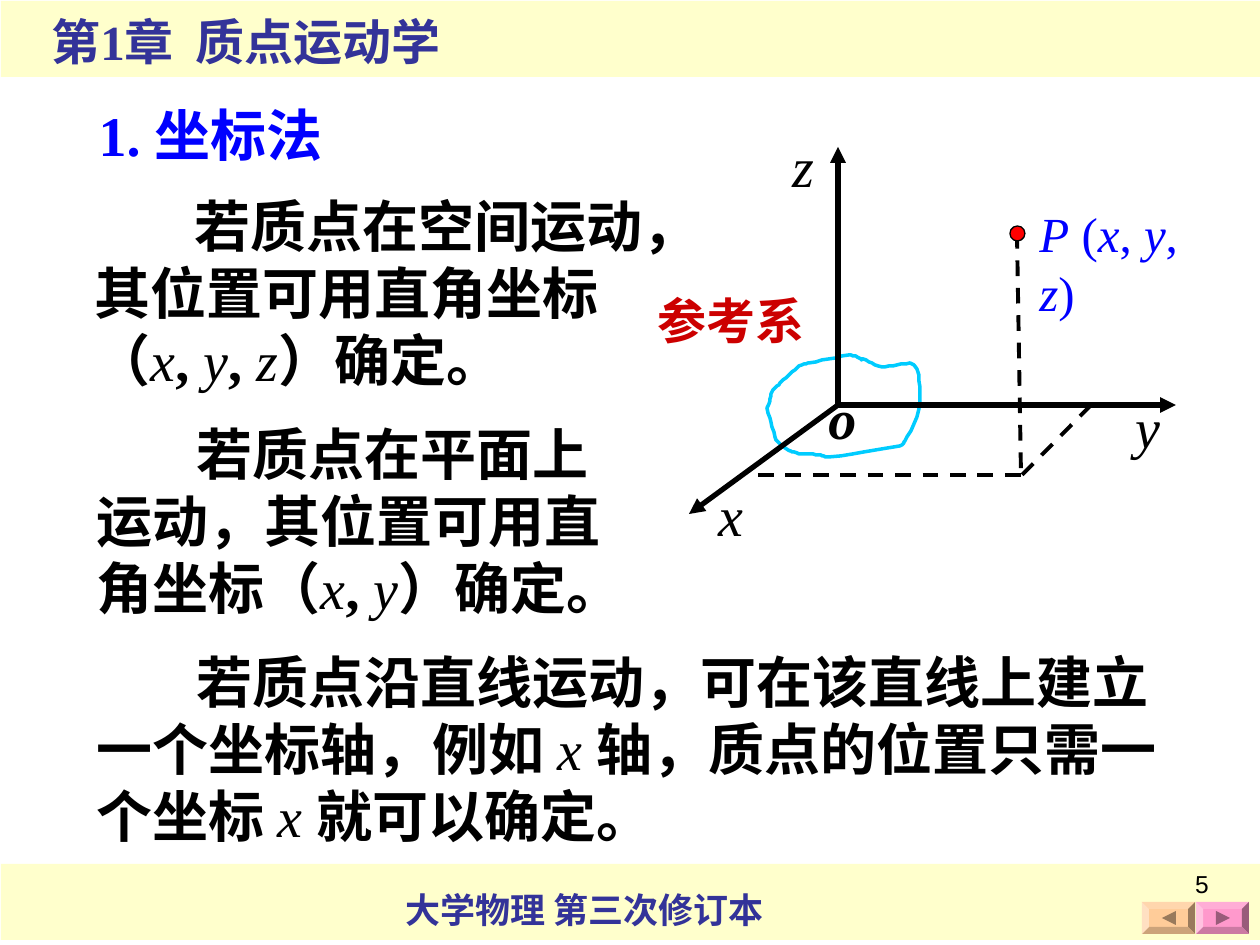
from pptx import Presentation
from pptx.dml.color import RGBColor
from pptx.enum.dml import MSO_LINE
from pptx.enum.shapes import MSO_CONNECTOR, MSO_SHAPE
from pptx.enum.text import MSO_ANCHOR, PP_ALIGN
from pptx.oxml.ns import qn
from pptx.util import Pt
from lxml.etree import SubElement

SCALE = 914400 / 126
SERIF = "Times New Roman"
BLACK, BLUE, NAVY, CREAM = "000000", "0000FF", "333399", "FFFFCC"

# Text between asterisks is italic.
HEADING = ("1. 坐标法 ", (86, 94, 276, 81))
BANDS = [(1, 864, 1259, 76), (1, 1, 1259, 76)]
BAND_TEXTS = [
    ("大学物理 第三次修订本", (393, 882, 393, 55), 20),
    ("第1章  质点运动学", (39, 5, 465, 72), 28),
]
PARAGRAPHS = [
    ("若质点在空间运动，其位置可用直角坐标（*x*, *y*, *z*）确定。", (82, 185, 578, 214)),
    ("若质点在平面上运动，其位置可用直角坐标（*x*, *y*）确定。", (84, 413, 566, 214)),
    ("若质点沿直线运动，可在该直线上建立一个坐标轴，例如 *x *轴，"
     "质点的位置只需一个坐标 *x *就可以确定。", (84, 641, 1121, 214)),
]
AXES = [((838, 405), (689, 514)), ((838, 405), (1176, 405)), ((838, 405), (838, 147))]
DASHES = [((1017, 233), (1021, 475)), ((1091, 405), (1022, 475)), ((758, 475), (1027, 475))]
AXIS_LABELS = [
    ("*x*", (706, 474, 50, 81), False),
    ("*z*", (780, 125, 47, 81), False),
    ("*y*", (1123, 386, 50, 81), False),
    ("*o*", (816, 377, 53, 81), True),
]
# Start point, then cubic Bezier segments.
BODY_START = (767, 408)
BODY_CURVES = [
    ((770, 404), (770, 399), (771, 394)), ((771, 389), (778, 386), (780, 383)),
    ((786, 378), (791, 372), (798, 367)), ((800, 365), (808, 363), (809, 363)),
    ((823, 360), (835, 358), (849, 355)), ((853, 355), (859, 358), (859, 358)),
    ((864, 362), (859, 358), (866, 360)), ((871, 363), (878, 368), (885, 367)),
    ((893, 366), (901, 364), (910, 363)), ((921, 365), (919, 382), (920, 393)),
    ((921, 410), (915, 425), (907, 437)), ((901, 446), (906, 442), (900, 446)),
    ((876, 450), (853, 455), (829, 457)), ((823, 457), (824, 456), (819, 455)),
    ((813, 454), (807, 454), (801, 454)), ((798, 454), (790, 451), (790, 451)),
    ((788, 450), (776, 442), (775, 437)), ((772, 427), (770, 418), (767, 408)),
]
BUTTON_SIZE, BEVEL = (53, 32), 7
# Left edge, direction, then face, top, right, bottom, left and arrow colours.
BUTTONS = [
    (1196, 1, ("FF99CC", "FFADD6", "995C7A", "CC7AA3", "FFC2E0", "995C7A")),
    (1142, -1, ("FFCC99", "FFD6AD", "997A5C", "CCA37A", "FFE0C2", "997A5C")),
]
BUTTON_TOP = 902


def px(*values):
    """Turn pixels into a list of EMU."""
    return [round(v * SCALE) for v in values]


def rgb(code):
    """Turn a hex string into a colour."""
    return RGBColor.from_string(code)


def paint(sp, fill, line=None, width=1):
    """Set fill and outline, and drop the shadow."""
    sp.shadow.inherit = False
    sp.fill.solid()
    sp.fill.fore_color.rgb = rgb(fill)
    if line:
        sp.line.color.rgb = rgb(line)
        sp.line.width = Pt(width)
    else:
        sp.line.fill.background()


def add_text(text, box, size=32, color=BLACK, font=SERIF, bold=False, italic_bold=False,
             wrap=False, align=PP_ALIGN.LEFT, indent=0, sp=None):
    """Write text with italic parts in a new box or a given placeholder."""
    sp = sp or s.shapes.add_textbox(*px(*box))
    sp.left, sp.top, sp.width, sp.height = px(*box)
    tf = sp.text_frame
    tf.word_wrap = wrap
    tf.vertical_anchor = MSO_ANCHOR.TOP
    p = tf.paragraphs[0]
    p.alignment = align
    if indent:
        p._p.get_or_add_pPr().set("indent", str(px(indent)[0]))
    for i, part in enumerate(text.split("*")):
        if not part:
            continue
        r = p.add_run()
        r.text = part
        r.font.name, r.font.size = font, Pt(size)
        r.font.color.rgb = rgb(color)
        r.font.italic = i % 2 == 1
        r.font.bold = italic_bold if i % 2 else bold


def add_line(start, end, width, arrow=False):
    """Draw a dashed line, or a solid one with an arrowhead."""
    ln = s.shapes.add_connector(MSO_CONNECTOR.STRAIGHT, *px(*start, *end))
    ln.line.color.rgb = rgb(BLACK)
    ln.line.width = Pt(width)
    if arrow:
        SubElement(ln.line._get_or_add_ln(), qn("a:tailEnd"), type="triangle")
    else:
        ln.line.dash_style = MSO_LINE.DASH
    SubElement(ln._element.spPr, qn("a:effectLst"))


def add_polygon(points, fill, **line):
    """Draw a closed outline through the points."""
    fb = s.shapes.build_freeform(*points[0], scale=SCALE)
    fb.add_line_segments(points[1:], close=True)
    paint(fb.convert_to_shape(), fill, **line)


def curve_points(start, curves, steps=6):
    """Sample points along joined cubic Bezier curves."""
    points = [start]
    for a, b, c in curves:
        o = points[-1]
        for k in range(1, steps + 1):
            t = k / steps
            u = 1 - t
            points.append(tuple(
                u**3 * o[i] + 3 * u * u * t * a[i] + 3 * u * t * t * b[i] + t**3 * c[i]
                for i in (0, 1)))
    return points


def add_button(left, direction, colors):
    """Draw a bevelled button with an arrow."""
    w, h = BUTTON_SIZE
    right, bottom = left + w, BUTTON_TOP + h
    outer = [(left, BUTTON_TOP), (right, BUTTON_TOP), (right, bottom), (left, bottom)]
    inner = [(left + BEVEL, BUTTON_TOP + BEVEL), (right - BEVEL, BUTTON_TOP + BEVEL),
             (right - BEVEL, bottom - BEVEL), (left + BEVEL, bottom - BEVEL)]
    add_polygon(outer, colors[0])
    for i in range(4):
        j = (i + 1) % 4
        add_polygon([outer[i], outer[j], inner[j], inner[i]], colors[i + 1])
    cx, cy = left + w / 2, BUTTON_TOP + h / 2
    back = cx - 7 * direction
    add_polygon([(back, cy - 7), (cx + 7 * direction, cy), (back, cy + 7)], colors[5])


prs = Presentation()
prs.slide_width, prs.slide_height = px(1260, 945)
s = prs.slides.add_slide(prs.slide_layouts[5])

for band in BANDS:
    paint(s.shapes.add_shape(MSO_SHAPE.RECTANGLE, *px(*band)), CREAM)
for text, box, size in BAND_TEXTS:
    add_text(text, box, size=size, color=NAVY, bold=True)
for button in BUTTONS:
    add_button(*button)

add_text(*HEADING, color=BLUE, bold=True, sp=s.shapes.title)
for text, box in PARAGRAPHS:
    add_text(text, box, bold=True, wrap=True, indent=100)

add_polygon(curve_points(BODY_START, BODY_CURVES), "FFFFFF", line="00CCFF", width=2)
for start, end in AXES:
    add_line(start, end, 3, arrow=True)
for start, end in DASHES:
    add_line(start, end, 2.24)
for text, box, heavy in AXIS_LABELS:
    add_text(text, box, italic_bold=heavy)
paint(s.shapes.add_shape(MSO_SHAPE.OVAL, *px(1010, 226, 15, 15)), "FF0000", BLACK, 0.74)
add_text("参考系", (645, 284, 193, 72), size=28, color="CC0000", bold=True, wrap=True)
add_text("*P* (*x*, *y*, *z*)", (1027, 197, 198, 131), size=28, color=BLUE, wrap=True)
add_text("5", (927, 863, 294, 66), size=14, font="Arial", wrap=True, align=PP_ALIGN.RIGHT)

prs.save("out.pptx")
